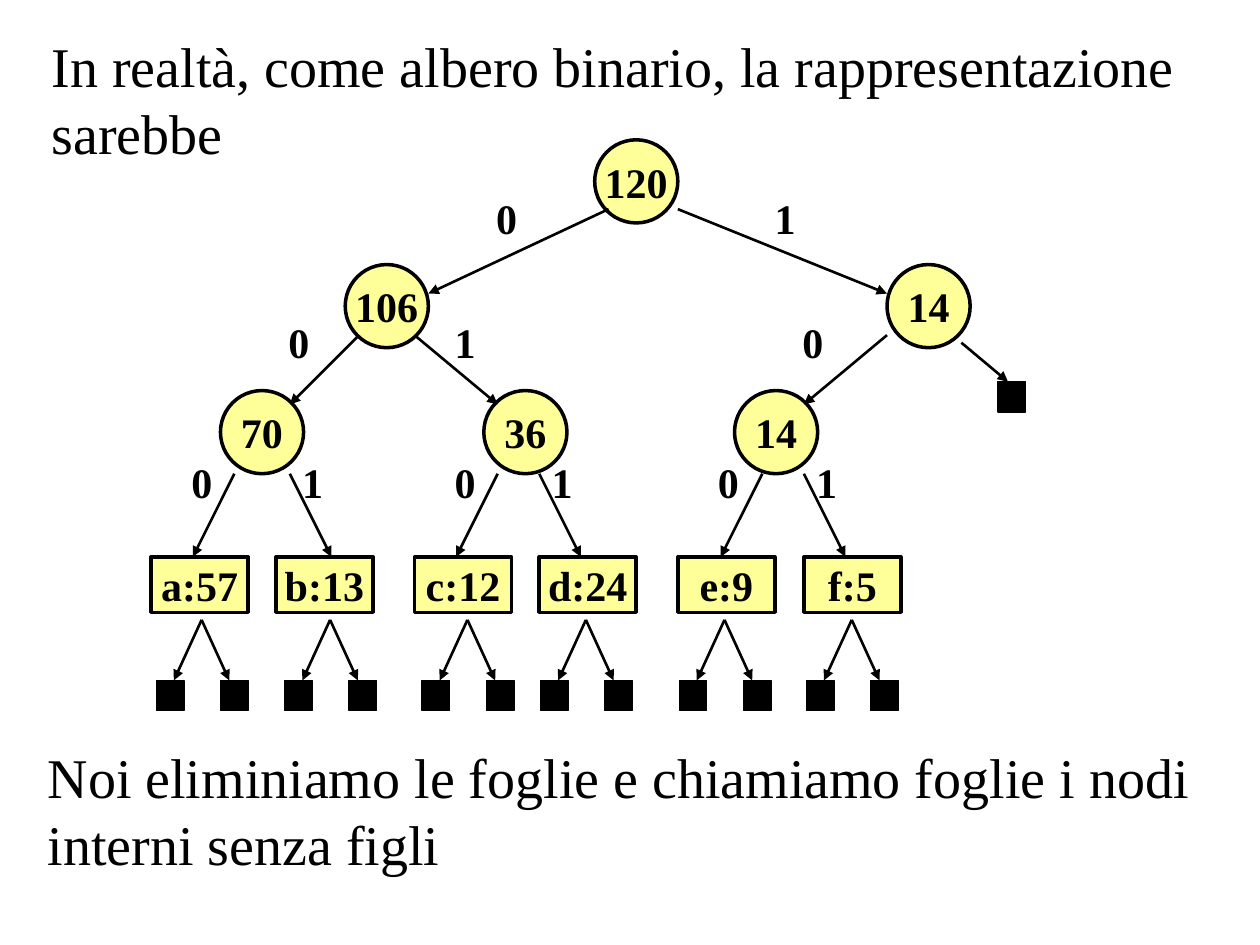
from typing import NamedTuple

from lxml import etree
from pptx import Presentation
from pptx.dml.color import RGBColor
from pptx.enum.shapes import MSO_CONNECTOR, MSO_SHAPE
from pptx.enum.text import MSO_ANCHOR, MSO_AUTO_SIZE, PP_ALIGN
from pptx.oxml.ns import qn
from pptx.util import Inches, Pt

BLACK = RGBColor(0x00, 0x00, 0x00)
YELLOW = RGBColor(0xFF, 0xFF, 0x99)
FONT = "Times New Roman"

OVAL, RECTANGLE = MSO_SHAPE.OVAL, MSO_SHAPE.RECTANGLE
STRAIGHT = MSO_CONNECTOR.STRAIGHT
LEFT, CENTER = PP_ALIGN.LEFT, PP_ALIGN.CENTER
TOP, MIDDLE = MSO_ANCHOR.TOP, MSO_ANCHOR.MIDDLE
NO_AUTOFIT = MSO_AUTO_SIZE.NONE

CIRCLE_SIZE = 0.66
LEAF_TOP, LEAF_WIDTH, LEAF_HEIGHT = 4.42, 0.77, 0.44
NIL_WIDTH, NIL_HEIGHT = 0.22, 0.24
NIL_TOP, FORK_TOP = 5.4, 4.92
LABEL_WIDTH, LABEL_HEIGHT = 0.4, 0.57


class Node(NamedTuple):
    text: str
    left: float
    top: float


class Leaf(NamedTuple):
    text: str
    left: float
    fork: float  # x where the two arrows to the empty leaves begin


class Edge(NamedTuple):
    start: tuple[float, float]
    end: tuple[float, float]
    bit: str
    label_left: float
    label_top: float


NODES = [
    Node("120", 4.72, 1.11),
    Node("106", 2.74, 2.1), Node("14", 7.04, 2.1),
    Node("70", 1.75, 3.1), Node("36", 3.84, 3.1), Node("14", 5.83, 3.1),
]
LEAVES = [
    Leaf("a:57", 1.2, 1.6), Leaf("b:13", 2.19, 2.62),
    Leaf("c:12", 3.29, 3.71), Leaf("d:24", 4.28, 4.65),
    Leaf("e:9", 5.38, 5.75), Leaf("f:5", 6.38, 6.76),
]
EDGES = [
    Edge((4.83, 1.66), (3.4, 2.33), "0", 3.84, 1.44),
    Edge((5.38, 1.66), (7.04, 2.33), "1", 6.05, 1.44),
    Edge((2.85, 2.66), (2.3, 3.21), "0", 2.19, 2.43),
    Edge((3.29, 2.66), (3.95, 3.21), "1", 3.51, 2.43),
    Edge((7.04, 2.66), (6.38, 3.21), "0", 6.27, 2.43),
]
# Each pair: start of the 0 arrow, start of the 1 arrow, and their labels.
for zero, one, zero_label, one_label in [
    (1.86, 2.3, 1.42, 2.3), (3.95, 4.28, 3.51, 4.28), (6.05, 6.38, 5.6, 6.38),
]:
    EDGES.append(Edge((zero, 3.76), (zero - 0.33, LEAF_TOP), "0", zero_label, 3.54))
    EDGES.append(Edge((one, 3.76), (one + 0.33, LEAF_TOP), "1", one_label, 3.54))


def write_text(shape, text: str, *, size: int = 24, bold: bool = True,
               align=CENTER, anchor=MIDDLE, wrap: bool = False) -> None:
    frame = shape.text_frame
    frame.auto_size = NO_AUTOFIT
    frame.word_wrap = wrap
    frame.vertical_anchor = anchor
    para = frame.paragraphs[0]
    para.alignment = align
    span = para.add_run()
    span.text = text
    span.font.name = FONT
    span.font.size = Pt(size)
    span.font.bold = bold
    span.font.color.rgb = BLACK


def add_box(shapes, kind, left: float, top: float, width: float, height: float,
            fill: RGBColor, line_width: float):
    box = shapes.add_shape(kind, Inches(left), Inches(top),
                           Inches(width), Inches(height))
    box.shadow.inherit = False
    box.fill.solid()
    box.fill.fore_color.rgb = fill
    box.line.color.rgb = BLACK
    box.line.width = Pt(line_width)
    return box


def add_arrow(shapes, start: tuple[float, float], end: tuple[float, float]) -> None:
    arrow = shapes.add_connector(STRAIGHT, Inches(start[0]), Inches(start[1]),
                                 Inches(end[0]), Inches(end[1]))
    arrow.line.color.rgb = BLACK
    arrow.line.width = Pt(1.5)
    properties = arrow.line._get_or_add_ln()
    etree.SubElement(properties, qn("a:tailEnd"), type="triangle")
    etree.SubElement(arrow._element.spPr, qn("a:effectLst"))


def add_nil(shapes, left: float, top: float) -> None:
    """Draw the black square that stands for an empty leaf."""
    add_box(shapes, RECTANGLE, left, top, NIL_WIDTH, NIL_HEIGHT, BLACK, 0.75)


def add_fork(shapes, middle: float) -> None:
    """Draw two arrows from one point to a pair of empty leaves."""
    fork = shapes.add_group_shape().shapes
    for tip, nil in [(-0.22, -0.36), (0.22, 0.15)]:
        add_arrow(fork, (middle, FORK_TOP), (middle + tip, NIL_TOP))
        add_nil(fork, middle + nil, NIL_TOP)


def add_label(shapes, edge: Edge) -> None:
    label = shapes.add_textbox(Inches(edge.label_left), Inches(edge.label_top),
                               Inches(LABEL_WIDTH), Inches(LABEL_HEIGHT))
    write_text(label, edge.bit, align=LEFT)


def main() -> None:
    deck = Presentation()
    deck.slide_width, deck.slide_height = Inches(10), Inches(7.5)
    page = deck.slides.add_slide(deck.slide_layouts[5])
    shapes = page.shapes

    title = shapes.title
    title.left, title.top = Inches(0.31), Inches(0.21)
    title.width, title.height = Inches(9.41), Inches(1.14)
    write_text(title, "In realtà, come albero binario, la rappresentazione sarebbe",
               size=32, bold=False, align=LEFT, wrap=True)

    for node in NODES:
        circle = add_box(shapes, OVAL, node.left, node.top,
                         CIRCLE_SIZE, CIRCLE_SIZE, YELLOW, 2)
        write_text(circle, node.text)
    for leaf in LEAVES:
        box = add_box(shapes, RECTANGLE, leaf.left, LEAF_TOP,
                      LEAF_WIDTH, LEAF_HEIGHT, YELLOW, 2)
        write_text(box, leaf.text)
    for edge in EDGES:
        add_arrow(shapes, edge.start, edge.end)
        add_label(shapes, edge)

    add_arrow(shapes, (7.63, 2.72), (8, 3.03))
    add_nil(shapes, 7.92, 3.03)
    for leaf in LEAVES:
        add_fork(shapes, leaf.fork)

    remark = shapes.add_textbox(Inches(0.28), Inches(5.84), Inches(9.45), Inches(1.17))
    write_text(remark, "Noi eliminiamo le foglie e chiamiamo foglie i nodi "
               "interni senza figli",
               size=32, bold=False, align=LEFT, anchor=TOP, wrap=True)

    deck.save("out.pptx")


if __name__ == "__main__":
    main()
